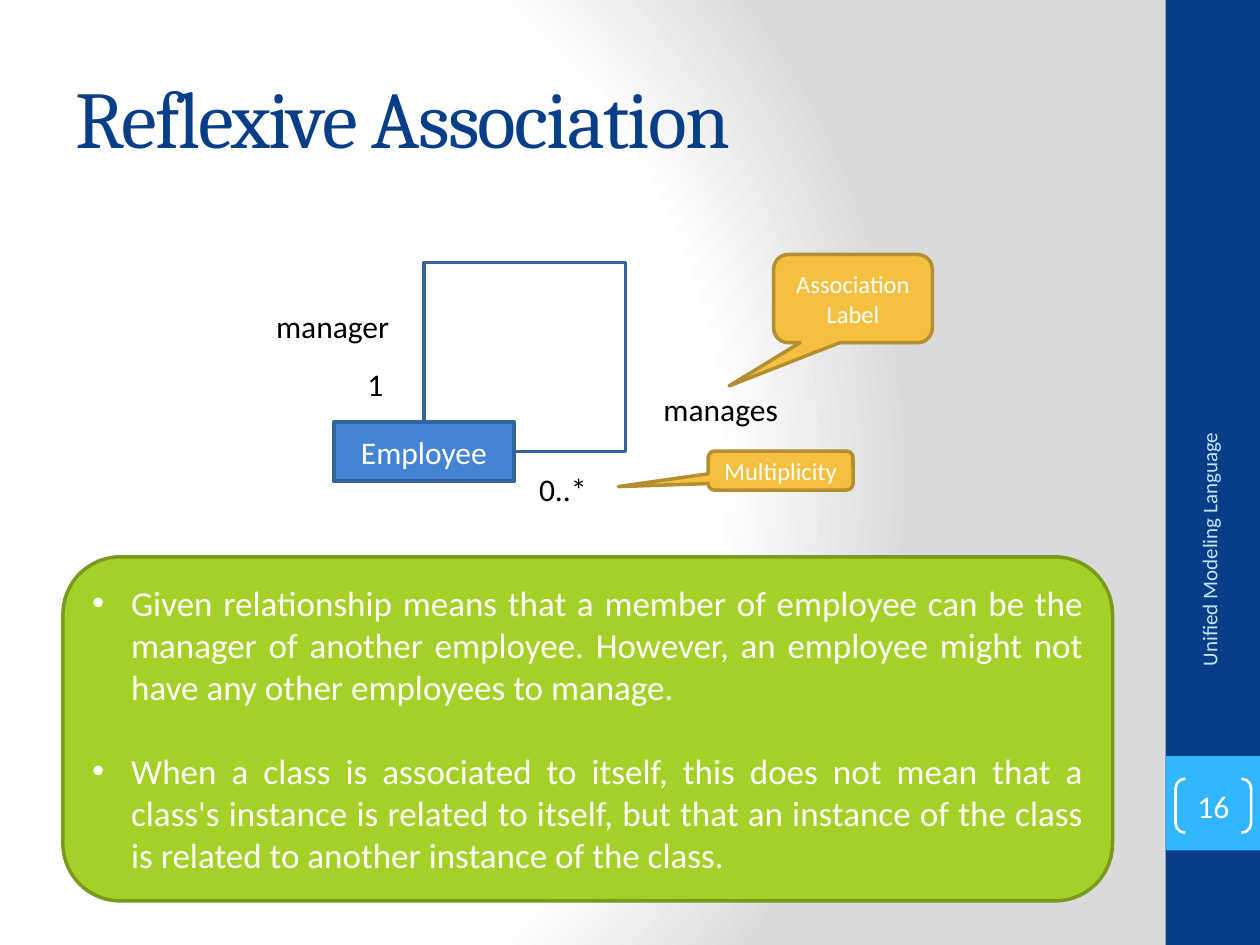
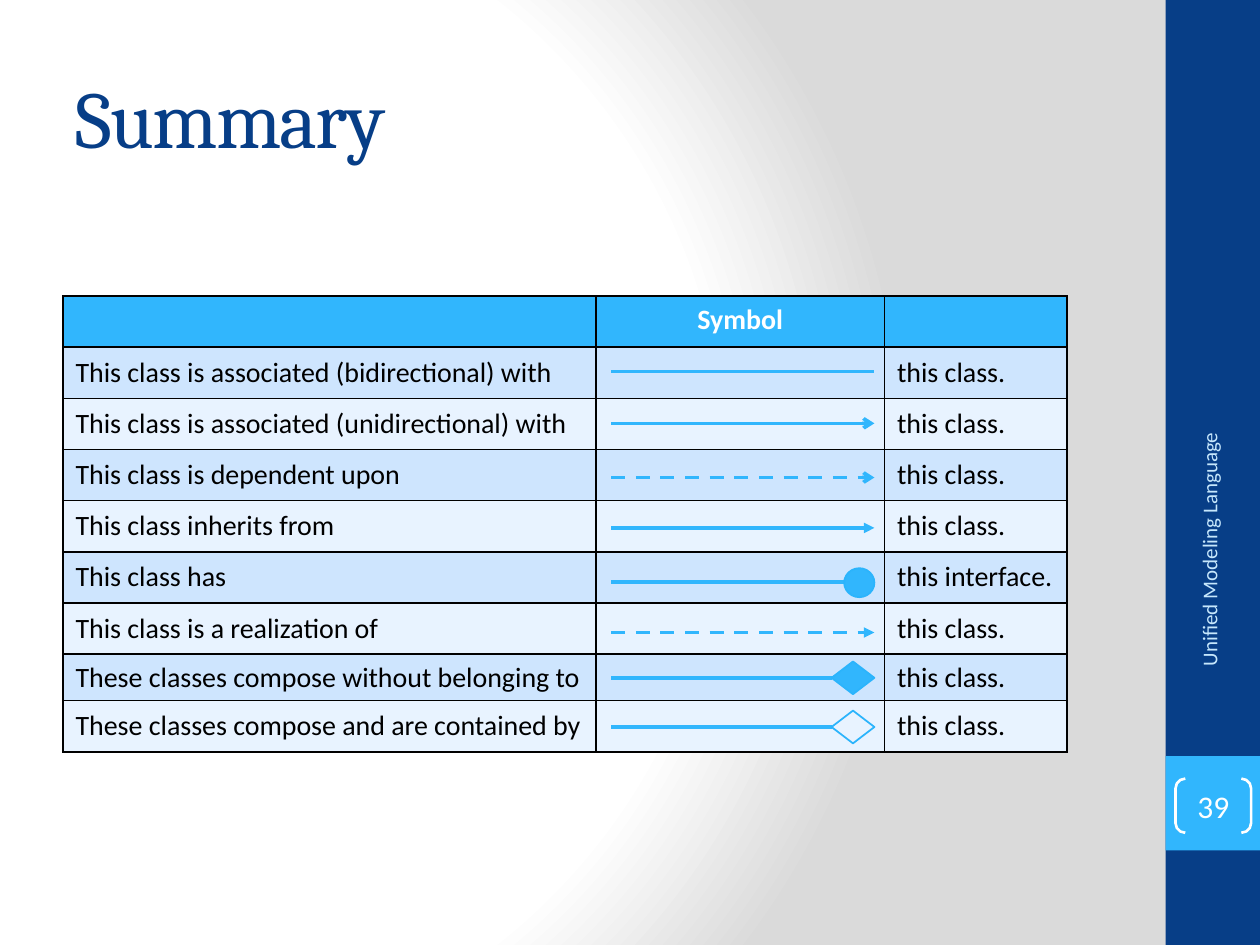
from dataclasses import dataclass
from typing import Optional

import pptx
import pptx.dml.color
import pptx.enum.dml
import pptx.enum.shapes
import pptx.enum.text
import pptx.oxml
import pptx.oxml.ns
import pptx.util

Inches = pptx.util.Inches
Pt = pptx.util.Pt
RGBColor = pptx.dml.color.RGBColor
Shape = pptx.enum.shapes.MSO_SHAPE
Align = pptx.enum.text.PP_ALIGN
Anchor = pptx.enum.text.MSO_ANCHOR
qn = pptx.oxml.ns.qn
NS = pptx.oxml.ns.nsdecls("a")

# Theme
NAVY = RGBColor(0x07, 0x3E, 0x87)
SKY = RGBColor(0x31, 0xB6, 0xFD)
SKY_EDGE = RGBColor(0x2B, 0xB4, 0xFC)
PALE_SKY = RGBColor(0xC6, 0xE7, 0xFC)
BLUE = RGBColor(0x45, 0x84, 0xD3)
BLUE_EDGE = RGBColor(0x33, 0x62, 0x9C)
GREEN = RGBColor(0xA5, 0xD0, 0x28)
GREEN_EDGE = RGBColor(0x7A, 0x9A, 0x1E)
AMBER = RGBColor(0xF5, 0xC0, 0x40)
AMBER_EDGE = RGBColor(0xB5, 0x8E, 0x2F)
ROW_DARK = RGBColor(0xCE, 0xE5, 0xFE)
ROW_LIGHT = RGBColor(0xE8, 0xF3, 0xFF)
WHITE = RGBColor(0xFF, 0xFF, 0xFF)
BLACK = RGBColor(0, 0, 0)
BODY_FONT = "Calibri"
TITLE_FONT = "Cambria"
COURSE = "Unified Modeling Language"


@dataclass
class Box:
    left: float
    top: float
    width: float
    height: float

    def emu(self) -> list:
        return [Inches(v) for v in (self.left, self.top, self.width, self.height)]


@dataclass
class Callout:
    text: str
    box: Box
    tip: tuple


@dataclass
class Label:
    text: str
    box: Box
    align: Align = Align.CENTER


@dataclass
class SymbolRow:
    relation: str
    target: str
    line_y: float
    head: Optional[str] = None
    dashed: bool = False
    end_shape: Optional[Shape] = None
    end_box: Optional[Box] = None
    hollow: bool = False


# Drawing helpers
def add_run(paragraph, text: str, size: float, color: RGBColor,
            font: str = BODY_FONT, bold: bool = False):
    run = paragraph.add_run()
    run.text = text
    run.font.size = Pt(size)
    run.font.name = font
    run.font.bold = bold
    run.font.color.rgb = color
    return run


def add_preset(slide, kind: Shape, box: Box, fill: Optional[RGBColor] = None,
               edge: Optional[RGBColor] = None, edge_width: float = 2):
    shape = slide.shapes.add_shape(kind, *box.emu())
    shape.shadow.inherit = False
    if fill is None:
        shape.fill.background()
    else:
        shape.fill.solid()
        shape.fill.fore_color.rgb = fill
    if edge is None:
        shape.line.fill.background()
    else:
        shape.line.color.rgb = edge
        shape.line.width = Pt(edge_width)
    return shape


def write_centred(shape, text: str, size: float) -> None:
    frame = shape.text_frame
    frame.word_wrap = True
    frame.vertical_anchor = Anchor.MIDDLE
    frame.paragraphs[0].alignment = Align.CENTER
    add_run(frame.paragraphs[0], text, size, WHITE)


def add_text(slide, label: Label, size: float, color: RGBColor):
    text_box = slide.shapes.add_textbox(*label.box.emu())
    text_box.text_frame.word_wrap = True
    paragraph = text_box.text_frame.paragraphs[0]
    paragraph.alignment = label.align
    add_run(paragraph, label.text, size, color)
    return text_box


def add_line(slide, start: tuple, end: tuple, color: RGBColor,
             kind=pptx.enum.shapes.MSO_CONNECTOR.STRAIGHT):
    points = [Inches(v) for v in (*start, *end)]
    line = slide.shapes.add_connector(kind, *points)
    line.line.color.rgb = color
    line.line.width = Pt(2)
    line._element.spPr.append(pptx.oxml.parse_xml(f"<a:effectLst {NS}/>"))
    return line


def add_bullet(paragraph, text: str) -> None:
    properties = paragraph._p.get_or_add_pPr()
    properties.set("marL", str(Inches(0.31)))
    properties.set("indent", str(-Inches(0.31)))
    properties.append(pptx.oxml.parse_xml(f'<a:buFont {NS} typeface="Arial"/>'))
    properties.append(pptx.oxml.parse_xml(f'<a:buChar {NS} char="•"/>'))
    paragraph.alignment = Align.JUSTIFY
    add_run(paragraph, text, 20, WHITE)


# Shared slide parts
def set_background(master) -> None:
    master.background.fill.solid()
    holder = master.element.find(".//" + qn("p:bgPr"))
    stops = "".join(
        f'<a:gs pos="{position}"><a:srgbClr val="{color}"/></a:gs>'
        for position, color in ((0, "FFFFFF"), (75000, "FFFFFF"), (100000, "DADADA")))
    gradient = pptx.oxml.parse_xml(
        f'<a:gradFill {NS} rotWithShape="1"><a:gsLst>{stops}</a:gsLst>'
        '<a:path path="circle"><a:fillToRect l="20000" t="50000" r="100000" b="50000"/>'
        "</a:path></a:gradFill>")
    holder.replace(holder.find(qn("a:solidFill")), gradient)


def start_slide(deck, title: str, number: int):
    slide = deck.slides.add_slide(deck.slide_layouts[5])
    add_preset(slide, Shape.RECTANGLE, Box(9.25, 0, 0.75, 7.5), NAVY)
    add_preset(slide, Shape.RECTANGLE, Box(9.25, 6, 0.75, 0.75), SKY)

    heading = slide.shapes.title
    heading.left, heading.top, heading.width, heading.height = Box(0.5, 0.3, 8.33, 1.25).emu()
    heading.text_frame.vertical_anchor = Anchor.MIDDLE
    heading.text_frame.paragraphs[0].alignment = Align.LEFT
    run = add_run(heading.text_frame.paragraphs[0], title, 46, NAVY, TITLE_FONT)
    run._r.get_or_add_rPr().set("spc", "-100")

    course = add_text(slide, Label(COURSE, Box(8.3, 4.43, 2.59, 0.4), Align.RIGHT), 12, PALE_SKY)
    course.text_frame.vertical_anchor = Anchor.MIDDLE
    course.rotation = 270

    page = add_preset(slide, Shape.DOUBLE_BRACKET, Box(9.33, 6.18, 0.6, 0.43), None, WHITE, 1.5)
    page.adjustments[0] = 0.18
    frame = page.text_frame
    frame.margin_left = frame.margin_right = frame.margin_top = frame.margin_bottom = 0
    write_centred(page, str(number), 18)
    return slide


# Reflexive association
EXPLANATIONS = (
    "Given relationship means that a member of employee can be the manager of another "
    "employee. However, an employee might not have any other employees to manage.",
    "When a class is associated to itself, this does not mean that a class's instance is "
    "related to itself, but that an instance of the class is related to another instance "
    "of the class.",
)
LABELS = (
    Label("manages", Box(5.08, 3.05, 1.28, 0.4)),
    Label("1", Box(2.68, 2.85, 0.6, 0.4)),
    Label("0..*", Box(4.18, 3.68, 0.6, 0.4), Align.LEFT),
    Label("manager", Box(2, 2.39, 1.28, 0.4)),
)
CALLOUTS = (
    Callout("Multiplicity", Box(5.62, 3.58, 1.15, 0.31), (-1.12, 0.41)),
    Callout("Association Label", Box(6.14, 2.02, 1.26, 0.7), (-0.78, 0.99)),
)


def add_self_loop(slide, employee) -> None:
    start, end, corner = (4.08, 3.58), (3.36, 3.35), (4.97, 2.11)
    loop = add_line(slide, start, end, BLUE_EDGE, pptx.enum.shapes.MSO_CONNECTOR.ELBOW)
    loop.begin_connect(employee, 3)
    loop.end_connect(employee, 0)
    geometry = loop._element.spPr.find(qn("a:prstGeom"))
    geometry.set("prst", "bentConnector4")
    guides = geometry.find(qn("a:avLst"))
    for axis in (0, 1):
        ratio = (start[axis] - corner[axis]) / (start[axis] - end[axis])
        guides.append(pptx.oxml.parse_xml(
            f'<a:gd {NS} name="adj{axis + 1}" fmla="val {round(ratio * 100000)}"/>'))


def build_reflexive(deck) -> None:
    slide = start_slide(deck, "Reflexive Association", 16)
    panel = add_preset(slide, Shape.ROUNDED_RECTANGLE, Box(0.5, 4.42, 8.33, 2.73),
                       GREEN, GREEN_EDGE)
    frame = panel.text_frame
    frame.word_wrap = True
    frame.vertical_anchor = Anchor.MIDDLE
    for index, explanation in enumerate(EXPLANATIONS):
        paragraph = frame.add_paragraph() if index else frame.paragraphs[0]
        if index:
            paragraph.space_before = Pt(24)
        add_bullet(paragraph, explanation)

    for label in LABELS:
        add_text(slide, label, 18, BLACK)
    employee = add_preset(slide, Shape.RECTANGLE, Box(2.65, 3.35, 1.43, 0.47), BLUE, BLUE_EDGE)
    write_centred(employee, "Employee", 18)
    add_self_loop(slide, employee)
    for callout in CALLOUTS:
        bubble = add_preset(slide, Shape.ROUNDED_RECTANGULAR_CALLOUT, callout.box,
                            AMBER, AMBER_EDGE)
        bubble.adjustments[0], bubble.adjustments[1] = callout.tip
        write_centred(bubble, callout.text, 14)


# Summary of symbols
LINE_START, LINE_END = 4.85, 6.94
SYMBOL_ROWS = (
    SymbolRow("This class is associated (bidirectional) with", "this class.", 2.95),
    SymbolRow("This class is associated (unidirectional) with", "this class.", 3.36, "arrow"),
    SymbolRow("This class is dependent upon", "this class.", 3.79, "arrow", True),
    SymbolRow("This class inherits from", "this class.", 4.19, "triangle"),
    SymbolRow("This class has", "this interface.", 4.62,
              end_shape=Shape.OVAL, end_box=Box(6.7, 4.51, 0.24, 0.23)),
    SymbolRow("This class is a realization of", "this class.", 5.02, "triangle", True),
    SymbolRow("These classes compose without belonging to", "this class.", 5.38,
              end_shape=Shape.DIAMOND, end_box=Box(6.6, 5.25, 0.34, 0.26)),
    SymbolRow("These classes compose and are contained by", "this class.", 5.77,
              end_shape=Shape.DIAMOND, end_box=Box(6.6, 5.64, 0.34, 0.26), hollow=True),
)


def format_cell(cell, text: str, fill: RGBColor, header: bool) -> None:
    properties = cell._tc.get_or_add_tcPr()
    for side in "LRTB":
        properties.append(pptx.oxml.parse_xml(
            f'<a:ln{side} {NS} w="{Pt(1)}"><a:solidFill><a:srgbClr val="{BLACK}"/>'
            f"</a:solidFill></a:ln{side}>"))
    cell.fill.solid()
    cell.fill.fore_color.rgb = fill
    cell.vertical_anchor = Anchor.TOP if header else Anchor.MIDDLE
    paragraph = cell.text_frame.paragraphs[0]
    paragraph.alignment = Align.CENTER if header else Align.LEFT
    if text:
        add_run(paragraph, text, 16, WHITE if header else BLACK, bold=header)
    else:
        paragraph._p.get_or_add_endParaRPr().set("sz", "1600")


def add_symbol(slide, row: SymbolRow) -> None:
    end_x = row.end_box.left if row.end_box else LINE_END
    line = add_line(slide, (LINE_START, row.line_y), (end_x, row.line_y), SKY)
    if row.dashed:
        line.line.dash_style = pptx.enum.dml.MSO_LINE.DASH
    if row.head:
        line.line._get_or_add_ln().append(
            pptx.oxml.parse_xml(f'<a:tailEnd {NS} type="{row.head}"/>'))
    if row.end_shape:
        add_preset(slide, row.end_shape, row.end_box, None if row.hollow else SKY, SKY_EDGE, 1)


def build_summary(deck) -> None:
    slide = start_slide(deck, "Summary", 39)
    contents = [("", "Symbol", "")] + [(row.relation, "", row.target) for row in SYMBOL_ROWS]
    table = slide.shapes.add_table(len(contents), 3, *Box(0.5, 2.35, 7.97, 3.62).emu()).table
    for column, width in zip(table.columns, (4.23, 2.29, 1.45)):
        column.width = Inches(width)
    for index, texts in enumerate(contents):
        table.rows[index].height = Inches(0.37) if index == 7 else Inches(3.25 / 8)
        fill = SKY if index == 0 else (ROW_LIGHT, ROW_DARK)[index % 2]
        for cell, text in zip(table.rows[index].cells, texts):
            format_cell(cell, text, fill, index == 0)
    for row in SYMBOL_ROWS:
        add_symbol(slide, row)


def main() -> None:
    deck = pptx.Presentation()
    deck.slide_width, deck.slide_height = Inches(10), Inches(7.5)
    set_background(deck.slide_master)
    build_reflexive(deck)
    build_summary(deck)
    deck.save("out.pptx")


if __name__ == "__main__":
    main()
